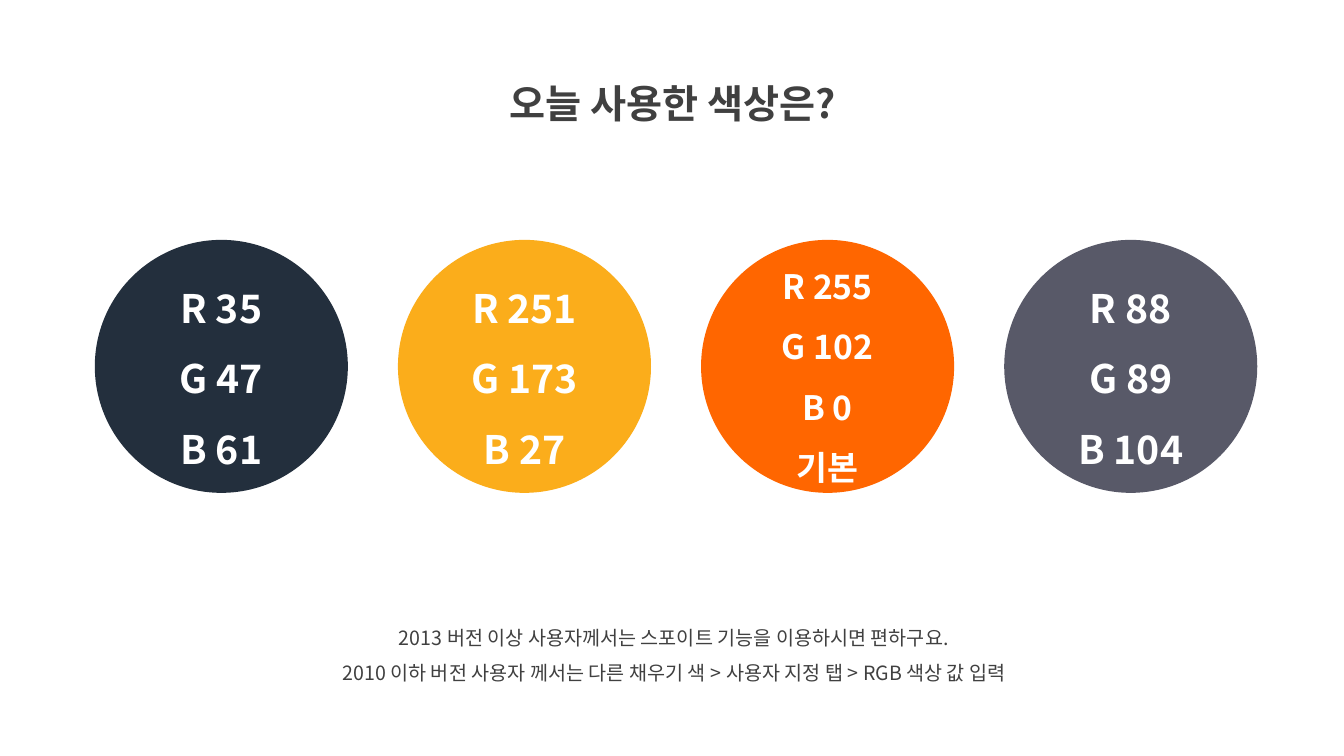
from lxml.etree import SubElement
from pptx import Presentation
from pptx.dml.color import RGBColor
from pptx.enum.shapes import MSO_SHAPE as Shape
from pptx.enum.text import MSO_ANCHOR as Anchor, MSO_AUTO_SIZE as AutoSize, PP_ALIGN as Align
from pptx.oxml.ns import qn
from pptx.util import Inches, Pt

NAVY = RGBColor(35, 47, 61)
AMBER = RGBColor(251, 173, 27)
ORANGE = RGBColor(255, 102, 0)
SLATE = RGBColor(88, 89, 104)
INK = RGBColor(64, 64, 64)
WHITE = RGBColor(255, 255, 255)

DIAMETER = 2.51
FIRST_LEFT = 0.94
LAST_LEFT = 9.96
CIRCLE_TOP = 2.38

SWATCHES = [
    (NAVY, 28, ["R 35", "G 47", "B 61"]),
    (AMBER, 28, ["R 251", "G 173", "B 27"]),
    (ORANGE, 24, ["R 255", "G 102", "B 0", "기본"]),
    (SLATE, 28, ["R 88", "G 89", "B 104"]),
]
PITCH = (LAST_LEFT - FIRST_LEFT) / (len(SWATCHES) - 1)
GUIDE = [
    "2013 버전 이상 사용자께서는 스포이트 기능을 이용하시면 편하구요.",
    "2010 이하 버전 사용자 께서는 다른 채우기 색 > 사용자 지정 탭 > RGB 색상 값 입력",
]


class PalettePage:
    font = "Noto Sans CJK KR"
    line_spacing = 1.5

    def __init__(self, deck):
        self.page = deck.slides.add_slide(deck.slide_layouts[5])

    def set_lines(self, box, lines, size, color, bold=False, anchor=Anchor.TOP):
        frame = box.text_frame
        frame.word_wrap = True
        frame.auto_size = AutoSize.NONE
        frame.vertical_anchor = anchor
        for index, line in enumerate(lines):
            para = frame.add_paragraph() if index else frame.paragraphs[0]
            para.alignment = Align.CENTER
            para.line_spacing = self.line_spacing
            span = para.add_run()
            span.text = line
            span.font.size = Pt(size)
            span.font.bold = bold
            span.font.color.rgb = color
            span.font.name = self.font
            SubElement(span.font._element, qn("a:ea")).set("typeface", self.font)

    def title(self, text, left, top, width, height):
        box = self.page.shapes.title
        box.left, box.top = Inches(left), Inches(top)
        box.width, box.height = Inches(width), Inches(height)
        self.set_lines(box, [text], 28, INK, bold=True)

    def note(self, lines, left, top, width, height):
        box = self.page.shapes.add_textbox(
            Inches(left), Inches(top), Inches(width), Inches(height))
        self.set_lines(box, lines, 14, INK)

    def swatch(self, left, color, size, lines):
        circle = self.page.shapes.add_shape(
            Shape.OVAL, Inches(left), Inches(CIRCLE_TOP), Inches(DIAMETER), Inches(DIAMETER))
        circle.shadow.inherit = False
        circle.fill.solid()
        circle.fill.fore_color.rgb = color
        circle.line.fill.background()
        self.set_lines(circle, lines, size, WHITE, bold=True, anchor=Anchor.MIDDLE)


def main():
    deck = Presentation()
    deck.slide_width, deck.slide_height = Inches(13.33), Inches(7.5)
    palette = PalettePage(deck)
    palette.title("오늘 사용한 색상은?", 4.36, 0.5, 4.63, 0.72)
    palette.note(GUIDE, 2.69, 6.04, 7.99, 0.81)
    for index, (color, size, lines) in enumerate(SWATCHES):
        palette.swatch(FIRST_LEFT + index * PITCH, color, size, lines)
    deck.save("out.pptx")


if __name__ == "__main__":
    main()
